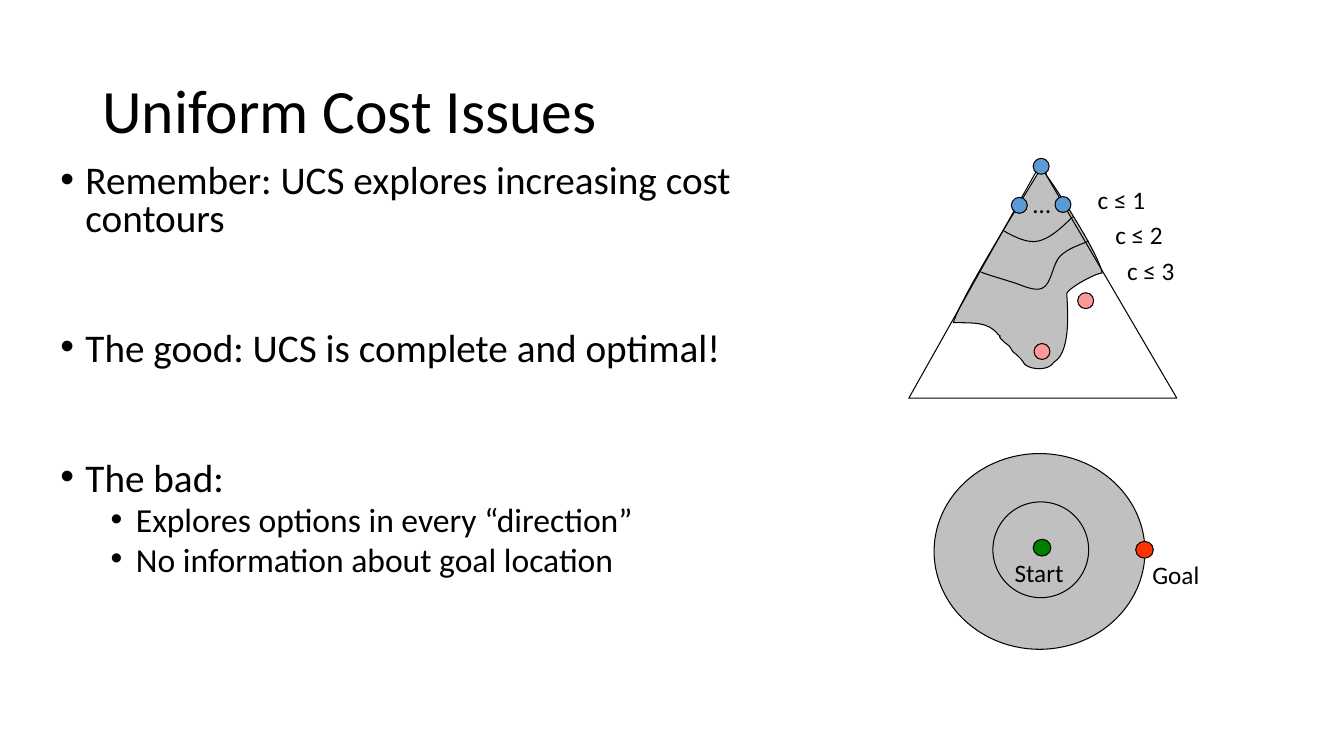
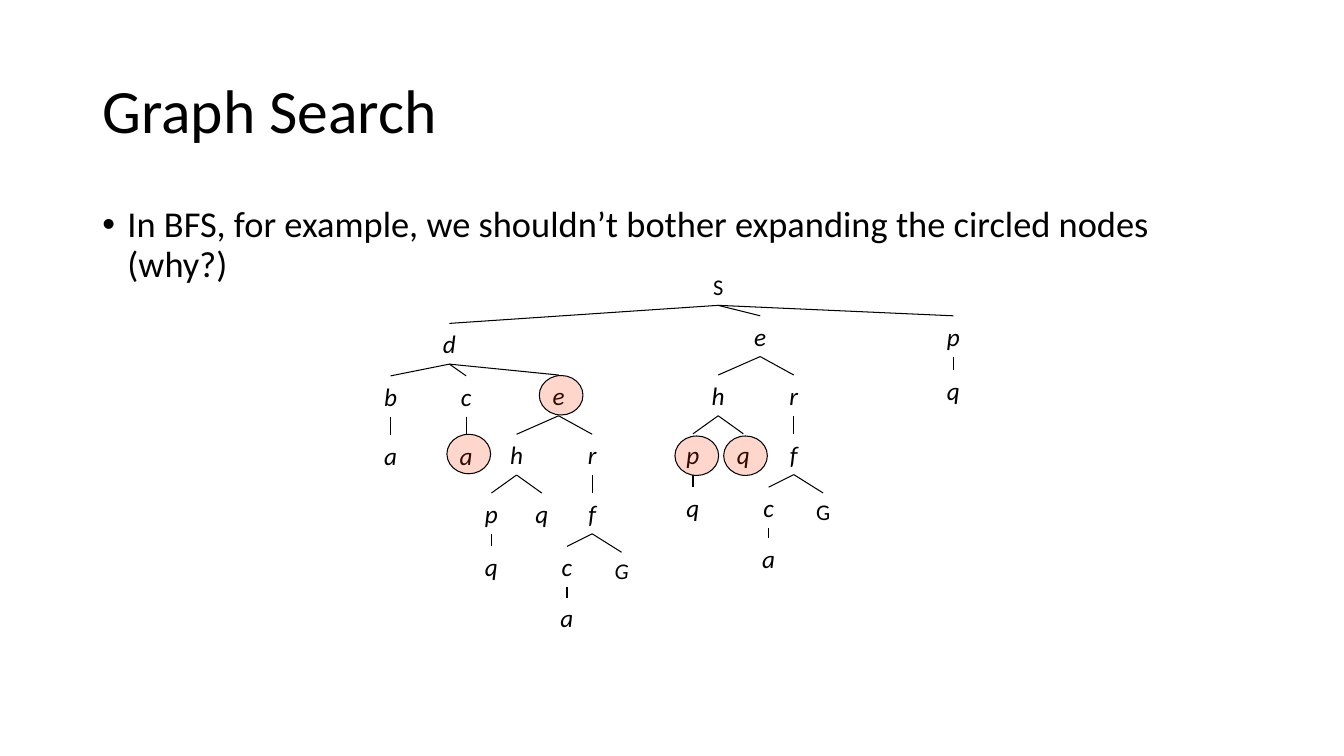
"""Builds two slides on uniform cost search and graph search."""
from lxml.etree import SubElement
from pptx import Presentation
from pptx.dml.color import RGBColor
from pptx.enum.shapes import MSO_CONNECTOR, MSO_SHAPE
from pptx.enum.text import MSO_ANCHOR, PP_ALIGN
from pptx.oxml.ns import qn
from pptx.util import Emu, Inches, Pt

BLACK = RGBColor(0x00, 0x00, 0x00)
GRAY = RGBColor(0xC0, 0xC0, 0xC0)
BLUE = RGBColor(0x5B, 0x9B, 0xD5)
PINK = RGBColor(0xFF, 0x99, 0x99)
GREEN = RGBColor(0x00, 0x80, 0x00)
RED = RGBColor(0xFF, 0x33, 0x00)
FONT = "Calibri"
HAIRLINE = Pt(0.75)
WIDTH, HEIGHT = Inches(13.333), Inches(7.5)
CELL = HEIGHT / 90
TITLE_FRAME = (11, 4.8, 138, 17.4)


def write(page, frame, rows, spacing=1.0, align=PP_ALIGN.LEFT, italic=False, anchor=MSO_ANCHOR.TOP):
    """Add a text box; each row is text, size, space before and bullet indent in inches."""
    box = page.shapes.add_textbox(*[Emu(round(n * CELL)) for n in frame])
    text = box.text_frame
    text.word_wrap = True
    text.vertical_anchor = anchor
    for index, (words, size, before, indent) in enumerate(rows):
        para = text.add_paragraph() if index else text.paragraphs[0]
        if indent:
            props = para._p.get_or_add_pPr()
            props.set("marL", str(Inches(indent)))
            props.set("indent", str(Inches(-0.25)))
            SubElement(props, qn("a:buFont")).set("typeface", "Arial")
            SubElement(props, qn("a:buChar")).set("char", "•")
        para.alignment = align
        para.line_spacing = spacing
        para.space_before = Pt(before)
        span = para.add_run()
        span.text = words
        span.font.name = FONT
        span.font.size = Pt(size)
        span.font.italic = italic
        span.font.color.rgb = BLACK
    return box


def draw(page, outline, fill=None, kind=MSO_SHAPE.OVAL):
    """Add an outlined preset in a frame, or a chain of cubic curves when kind is None."""
    if kind is None:
        points = [(round(x * CELL), round(y * CELL)) for x, y in outline]
        builder = page.shapes.build_freeform(*points[0])
        builder.add_line_segments(points[1:], close=fill is not None)
        shape = builder.convert_to_shape()
        segments = list(shape._element.iter(qn("a:lnTo")))
        for curve, second, third in zip(segments[::3], segments[1::3], segments[2::3]):
            curve.tag = qn("a:cubicBezTo")
            for segment in (second, third):
                curve.append(segment[0])
                segment.getparent().remove(segment)
    else:
        shape = page.shapes.add_shape(kind, *[Emu(round(n * CELL)) for n in outline])
    shape.shadow.inherit = False
    if fill is None:
        shape.fill.background()
    else:
        shape.fill.solid()
        shape.fill.fore_color.rgb = fill
    shape.line.color.rgb = BLACK
    shape.line.width = HAIRLINE
    return shape


deck = Presentation()
deck.slide_width, deck.slide_height = WIDTH, HEIGHT
pages = []
for title in ("Uniform Cost Issues", "Graph Search"):
    page = deck.slides.add_slide(deck.slide_layouts[6])
    write(page, TITLE_FRAME, [(title, 44, 0, 0)], 0.9, anchor=MSO_ANCHOR.MIDDLE)
    pages.append(page)
cost_page, tree_page = pages

write(cost_page, (6, 19, 85, 59.4), [
    ("Remember: UCS explores increasing cost contours", 28, 0, 0.25),
    ("The good: UCS is complete and optimal!", 28, 66, 0.25),
    ("The bad:", 28, 66, 0.25),
    ("Explores options in every “direction”", 24, 5, 0.75),
    ("No information about goal location", 24, 5, 0.75),
], 0.8)

explored = [
    (124.6, 20.9), (125.9, 22.7), (130.8, 30.2), (131.2, 32.5),
    (130.2, 32.6), (127.3, 34.3), (127, 34.9),
    (127, 35.8), (127.7, 41.8), (125.5, 43.1),
    (125, 43.8), (124.4, 43.9), (123.5, 43.9),
    (122.8, 43.8), (122.6, 43.8), (122, 43.4),
    (121.8, 43), (121.1, 42.2), (120.6, 41.9),
    (120, 41), (120.4, 41.4), (119.5, 40.7),
    (118.3, 39.5), (119.6, 40.4), (118.8, 39.8),
    (117.6, 38.2), (115.6, 38.5), (113.5, 38.4),
    (114.4, 35.4), (121.6, 23.9), (123.4, 20.9),
    (125.2, 18), (124.3, 20.9), (124.6, 20.9),
]
lower_contour = [
    (129.6, 28.7), (128.4, 29.2), (127.1, 29.6), (126.2, 30.5),
    (125.3, 31.4), (125.2, 33.8), (124.1, 34.3),
    (123.1, 34.8), (121.4, 33.8), (120.2, 33.5),
    (119, 33.1), (117.8, 32.8), (116.8, 32.4),
]
upper_contour = [
    (127.7, 25.8), (126.4, 27.1), (125, 28.4), (123.6, 28.7),
    (122.3, 29), (120.8, 28.2), (119.5, 27.5),
]
draw(cost_page, explored, GRAY, None)
triangle = draw(cost_page, (108.2, 19.6, 31.9, 27.8), kind=MSO_SHAPE.ISOSCELES_TRIANGLE)
triangle.adjustments[0] = 0.49
for contour in (lower_contour, upper_contour):
    draw(cost_page, contour, kind=None)
for left, top, color in [(120.4, 23.5, BLUE), (125.6, 23.4, BLUE), (123, 18.85, BLUE),
                         (128.3, 34.85, PINK), (123.1, 40.9, PINK)]:
    draw(cost_page, (left, top, 1.9, 1.9), color)

for frame, color in [((111.2, 54, 25.1, 23.3), GRAY), ((118.2, 59.75, 11.4, 11.4), None),
                     ((123, 64.2, 2.1, 2), GREEN), ((135.2, 64.45, 2.1, 2), RED)]:
    draw(cost_page, frame, color)
for label, left, top, width in [("…", 121.8, 21.8, 3), ("c ≤ 1", 129.5, 21.4, 9),
                                ("c ≤ 2", 131.6, 25.5, 9), ("c ≤ 3", 133, 29.8, 9),
                                ("Start", 119.6, 65.8, 12), ("Goal", 136, 66, 12)]:
    write(cost_page, (left, top, width, 4.85), [(label, 18, 0, 0)])

write(tree_page, (11, 24, 138, 57.1), [
    ("In BFS, for example, we shouldn’t bother expanding the circled nodes (why?)", 26, 0, 0.25),
], 0.9)

nodes = [
    ("S", None, 85.5, 31.9),
    ("d", 0, 53.5, 38.5), ("e", 0, 90.5, 37.6), ("p", 0, 113.5, 37.6),
    ("b", 1, 46.5, 44.75), ("c", 1, 55.5, 44.75), ("e", 1, 66.5, 44.65), ("q", 3, 113.5, 44.1),
    ("a", 4, 46.5, 51.8), ("a", 5, 55.5, 51.8),
]
branch = [
    ("h", 0, -5, 7.05), ("r", 0, 4, 7.05),
    ("p", 1, -8, 14.05), ("q", 1, -2, 14.05), ("f", 2, 4, 14.05),
    ("q", 3, -8, 20.4), ("c", 5, 1, 20.4), ("G", 5, 7.5, 21.1),
    ("a", 7, 1, 26.5),
]
for root in (2, 6):
    base = len(nodes) - 1
    root_center, root_top = nodes[root][2:]
    for label, parent, across, down in branch:
        nodes.append((label, base + parent if parent else root, root_center + across, root_top + down))

boxes = []
for label, parent, center, top in nodes:
    small = label.isupper()
    width, height, size = (10, 4.45, 16) if small else (5, 4.85, 18)
    box = write(tree_page, (center - width / 2, top, width, height), [(label, size, 0, 0)],
                align=PP_ALIGN.CENTER, italic=not small or center == 74)
    boxes.append(box)
    if parent is not None:
        edge = tree_page.shapes.add_connector(MSO_CONNECTOR.STRAIGHT, 0, 0, 0, 0)
        edge.begin_connect(boxes[parent], 2)
        edge.end_connect(box, 0)
        edge.line.color.rgb = BLACK
        edge.line.width = HAIRLINE
        SubElement(edge._element.spPr, qn("a:effectLst"))

for left, top in [(64.2, 44.7), (80.35, 51.9), (53.2, 51.7), (86.15, 51.9)]:
    circle = draw(tree_page, (left, top, 5.2, 4.7), RED)
    tint = circle._element.spPr.find(qn("a:solidFill"))[0]
    SubElement(tint, qn("a:alpha")).set("val", "20000")

deck.save("out.pptx")
